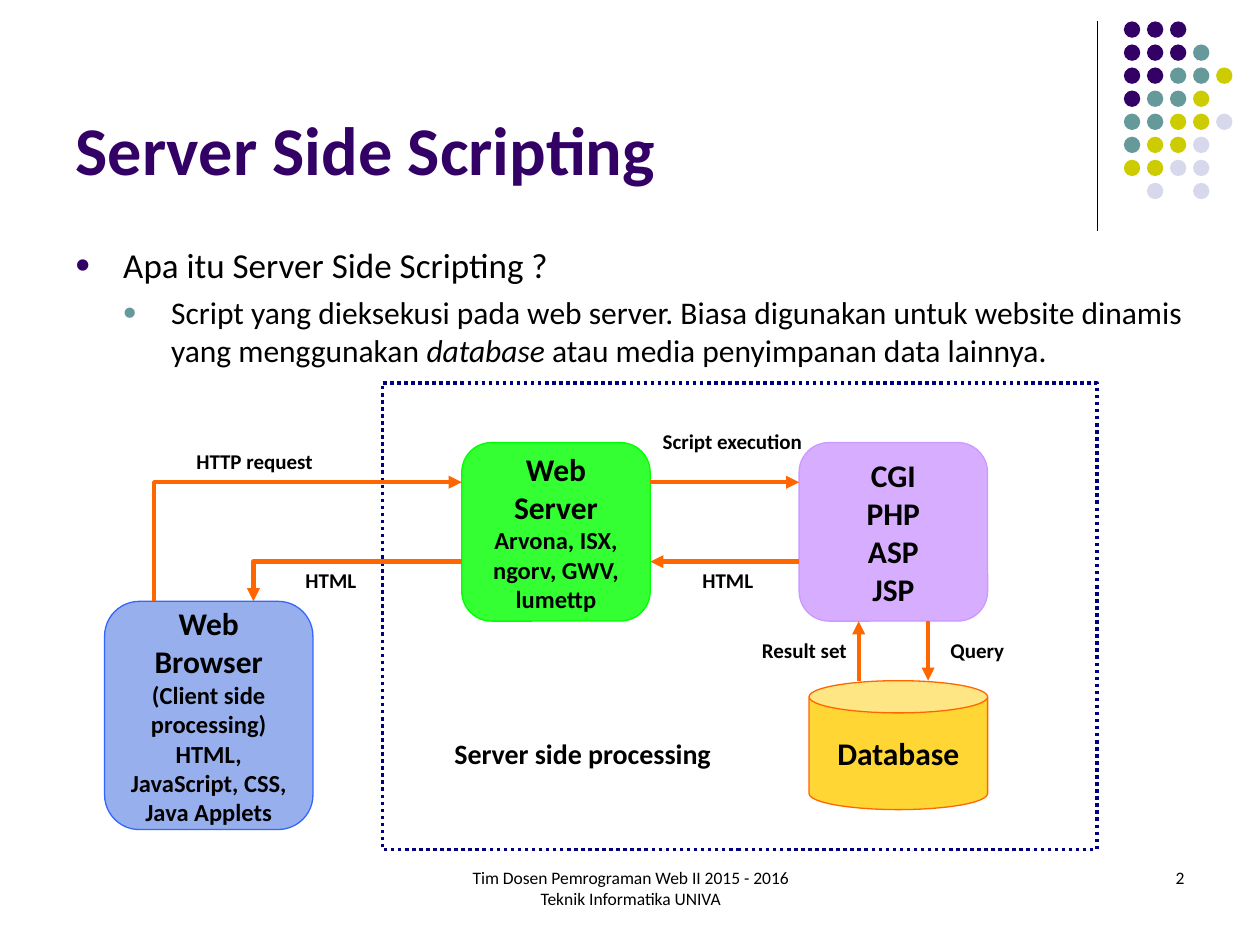
"""Builds the Server Side Scripting slide with its request flow diagram."""
import pptx
import pptx.util
import pptx.dml.color
import pptx.enum.dml
import pptx.enum.shapes
import pptx.enum.text
import pptx.oxml.ns
from lxml import etree

Inches, Pt = pptx.util.Inches, pptx.util.Pt
RGBColor = pptx.dml.color.RGBColor
SHAPE = pptx.enum.shapes.MSO_SHAPE
ALIGN = pptx.enum.text.PP_ALIGN
ANCHOR = pptx.enum.text.MSO_ANCHOR
qn = pptx.oxml.ns.qn

FONT = "Calibri"
BLACK = RGBColor(0, 0, 0)
PURPLE = RGBColor(0x33, 0x00, 0x66)
TEAL = RGBColor(0x66, 0x99, 0x99)
OLIVE = RGBColor(0xCC, 0xCC, 0x00)
MIST = RGBColor(0xD8, 0xD8, 0xEC)
NAVY = RGBColor(0x00, 0x00, 0x80)
BLUE = RGBColor(0x33, 0x66, 0xFF)
SKY = RGBColor(0x7E, 0x9C, 0xE8)
GREEN = RGBColor(0x00, 0xFF, 0x00)
LILAC = RGBColor(0xCC, 0x99, 0xFF)
GOLD = RGBColor(0xFF, 0xCC, 0x00)
ORANGE = RGBColor(0xFF, 0x66, 0x00)

TITLE = "Server Side Scripting"
BODY = [
    "Apa itu Server Side Scripting ?",
    "Script yang dieksekusi pada web server. Biasa digunakan untuk website dinamis "
    "yang menggunakan *database* atau media penyimpanan data lainnya.",
]
BULLETS = [(0.38, 5, PURPLE), (0.76, 4.5, TEAL)]
FOOTER = ["Tim Dosen Pemrograman Web II 2015 - 2016", "Teknik Informatika UNIVA"]
PAGE = ["2"]

DOTS = ["PPP", "PPPT", "PPTTO", "PTTO", "TTOOM", "TOOM", "OOMM", " M M"]
DOT_COLORS = {"P": PURPLE, "T": TEAL, "O": OLIVE, "M": MIST}
DOT_LEFT, DOT_TOP, DOT_STEP, DOT_SIZE = 8.92, 0.17, 0.183, 0.13

# grid of the diagram
LEFT, TOP, UNIT = 0.83, 3.04, 0.1575
ZONE = (14, 0, 36, 23.5)
NODES = [
    (SHAPE.ROUNDED_RECTANGLE, (0, 11, 10.5, 11.5), SKY, BLUE,
     ["Web Browser", "(Client side processing)", "HTML, JavaScript, CSS, Java Applets"],
     [18, 14, 14]),
    (SHAPE.ROUNDED_RECTANGLE, (18, 3, 9.5, 9), GREEN, GREEN,
     ["Web Server", "Arvona, ISX, ngorv, GWV, lumettp"], [18, 14]),
    (SHAPE.ROUNDED_RECTANGLE, (35, 3, 9.5, 9), LILAC, LILAC,
     ["CGI", "PHP", "ASP", "JSP"], [18] * 4),
    (SHAPE.CAN, (35.5, 15, 9, 6.5), GOLD, ORANGE, ["Database"], [18]),
]
ARROWS = [
    [(2.5, 11), (2.5, 5), (18, 5)],
    [(27.5, 5), (35, 5)],
    [(41.5, 12), (41.5, 15)],
    [(38, 15), (38, 12)],
    [(35, 9), (27.5, 9)],
    [(18, 9), (7.5, 9), (7.5, 11)],
]
LABELS = [
    ("HTTP request", 4, 3, 7.1, 12),
    ("Server side processing", 17, 17.5, 14.2, 16),
    ("Script execution", 27.5, 2, 8.3, 12),
    ("Query", 42, 12.5, 3.9, 12),
    ("Result set", 32.5, 12.5, 5.6, 12),
    ("HTML", 29.5, 9, 3.8, 12),
    ("HTML", 9.5, 9, 3.8, 12),
]


def inches(*values):
    return [Inches(v) for v in values]


def point(col, row):
    return inches(LEFT + col * UNIT, TOP + row * UNIT)


def cell(col, row, width, height):
    return point(col, row) + inches(width * UNIT, height * UNIT)


def write(s, paragraphs, sizes, color=BLACK, bold=False, align=ALIGN.LEFT,
          anchor=ANCHOR.TOP, wrap=True):
    tf = s.text_frame
    tf.auto_size = pptx.enum.text.MSO_AUTO_SIZE.NONE
    tf.word_wrap, tf.vertical_anchor = wrap, anchor
    for i, (text, size) in enumerate(zip(paragraphs, sizes)):
        p = tf.add_paragraph() if i else tf.paragraphs[0]
        p.alignment = align
        for j, part in enumerate(text.split("*")):
            r = p.add_run()
            r.text = part
            r.font.name, r.font.size, r.font.bold = FONT, Pt(size), bold
            r.font.italic = j % 2 == 1
            r.font.color.rgb = color
    return tf


def bullet(p, indent, before, color):
    p.space_before = Pt(before)
    pPr = p._p.get_or_add_pPr()
    pPr.set("marL", str(Inches(indent)))
    pPr.set("indent", str(Inches(-0.38)))
    etree.SubElement(etree.SubElement(pPr, qn("a:buClr")), qn("a:srgbClr"), val=str(color))
    etree.SubElement(pPr, qn("a:buSzPct"), val="70000")
    etree.SubElement(pPr, qn("a:buFont"), typeface=FONT)
    etree.SubElement(pPr, qn("a:buChar"), char="●")


def add_shape(shapes, kind, box, fill=None, line=None, width=0.75, alpha=None):
    s = shapes.add_shape(kind, *box)
    s.shadow.inherit = False
    if fill is None:
        s.fill.background()
    else:
        s.fill.solid()
        s.fill.fore_color.rgb = fill
    if alpha:
        clr = s._element.spPr.find(qn("a:solidFill")).find(qn("a:srgbClr"))
        etree.SubElement(clr, qn("a:alpha"), val=str(alpha * 1000))
    if line is None:
        s.line.fill.background()
    else:
        s.line.color.rgb, s.line.width = line, Pt(width)
    return s


def add_line(shapes, points, color, width, arrow=True):
    if len(points) == 2:
        s = shapes.add_connector(pptx.enum.shapes.MSO_CONNECTOR.STRAIGHT, *points[0], *points[1])
    else:
        builder = shapes.build_freeform(*points[0])
        builder.add_line_segments(points[1:], close=False)
        s = builder.convert_to_shape()
        s.fill.background()
    s.line.color.rgb, s.line.width = color, Pt(width)
    if arrow:
        etree.SubElement(s.line._get_or_add_ln(), qn("a:tailEnd"), type="triangle")
    etree.SubElement(s._element.spPr, qn("a:effectLst"))


def main():
    prs = pptx.Presentation()
    prs.slide_width, prs.slide_height = inches(10, 7.5)
    slide = prs.slides.add_slide(prs.slide_layouts[5])
    shapes = slide.shapes

    title = shapes.title
    title.left, title.top, title.width, title.height = inches(0.5, 0.13, 8.25, 1.42)
    write(title, [TITLE], [39], color=PURPLE, bold=True, anchor=ANCHOR.BOTTOM)

    add_line(shapes, [inches(8.71, 0.17), inches(8.71, 1.83)], BLACK, 0.75, arrow=False)
    for row, dots in enumerate(DOTS):
        for col, dot in enumerate(dots):
            if dot in DOT_COLORS:
                box = inches(DOT_LEFT + col * DOT_STEP, DOT_TOP + row * DOT_STEP,
                             DOT_SIZE, DOT_SIZE)
                add_shape(shapes, SHAPE.OVAL, box, DOT_COLORS[dot])

    write(shapes.add_textbox(*inches(3.42, 6.83, 3.17, 0.5)), FOOTER, [10, 10],
          align=ALIGN.CENTER)
    write(shapes.add_textbox(*inches(7.17, 6.83, 2.33, 0.5)), PAGE, [10], align=ALIGN.RIGHT)

    zone = add_shape(shapes, SHAPE.RECTANGLE, cell(*ZONE), line=NAVY, width=2)
    zone.line.dash_style = pptx.enum.dml.MSO_LINE.ROUND_DOT

    tf = write(shapes.add_textbox(*inches(0.5, 1.88, 9, 1.15)), BODY, [20, 18])
    for level, (p, style) in enumerate(zip(tf.paragraphs, BULLETS)):
        p.level = level
        bullet(p, *style)

    for kind, box, fill, line, text, sizes in NODES:
        s = add_shape(shapes, kind, cell(*box), fill, line, alpha=80)
        write(s, text, sizes, bold=True, align=ALIGN.CENTER, anchor=ANCHOR.MIDDLE,
              wrap=kind != SHAPE.CAN)
    for stops in ARROWS:
        add_line(shapes, [point(*stop) for stop in stops], ORANGE, 2.5)
    for text, col, row, width, size in LABELS:
        box = cell(col, row, width, 1.9 if size == 12 else 2.35)
        write(shapes.add_textbox(*box), [text], [size], bold=True, wrap=False)

    prs.save("out.pptx")


if __name__ == "__main__":
    main()
